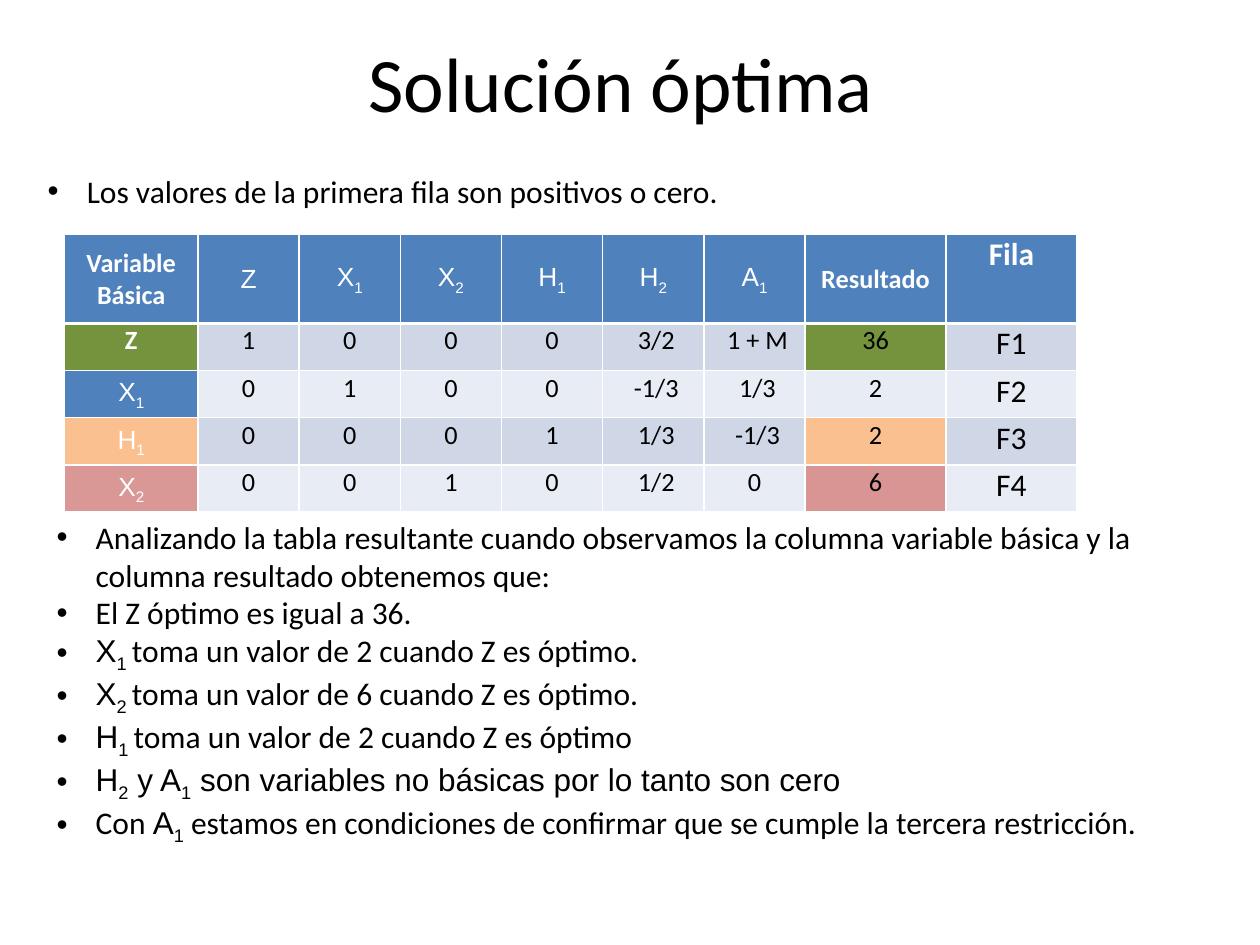
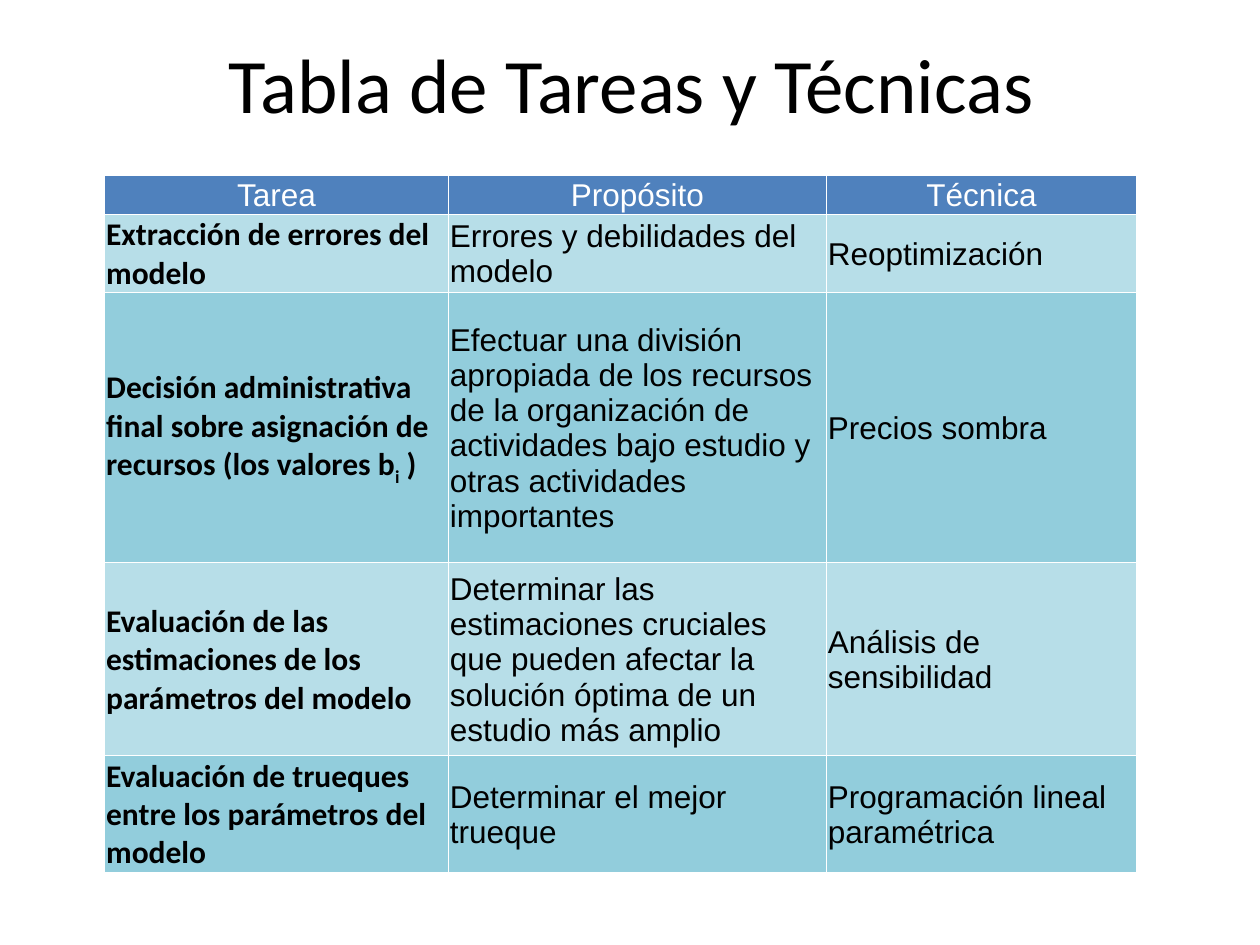
from lxml.etree import SubElement
from pptx import Presentation
from pptx.dml.color import RGBColor as Rgb
from pptx.enum.text import MSO_ANCHOR as Anchor, PP_ALIGN as Align
from pptx.oxml.ns import qn
from pptx.util import Cm, Pt

COLORS = {
    "white": "FFFFFF", "ink": "000000", "blue": "4F81BD", "green": "75923C",
    "orange": "FAC090", "rose": "D99795", "rose_result": "D99593",
    "band_dark": "CFD7E7", "band_light": "E8ECF4",
    "teal_light": "B7DEE8", "teal_dark": "92CDDC",
}
CALIBRI, ARIAL = "Calibri", "Arial"
CELL_MARGINS = {"margin_left": Cm(0.03), "margin_top": Cm(0.03),
                "margin_right": Cm(0.03), "margin_bottom": 0}
TEXT_MARGINS = {"margin_left": Cm(0.25), "margin_top": Cm(0.13),
                "margin_right": Cm(0.25), "margin_bottom": Cm(0.13)}

INTRO = [[("Los valores de la primera fila son positivos o cero.", CALIBRI)]]
FINDINGS = [
    [("Analizando la tabla resultante cuando observamos la columna variable "
      "básica y la columna resultado obtenemos que:", CALIBRI)],
    [("El Z óptimo es igual a 36.", CALIBRI)],
    [("X~1 ~", ARIAL), ("toma un valor de 2 cuando Z es óptimo.", CALIBRI)],
    [("X~2 ~", ARIAL), ("toma un valor de 6 cuando Z es óptimo.", CALIBRI)],
    [("H~1 ~", ARIAL), ("toma un valor de 2 cuando Z es óptimo", CALIBRI)],
    [("H~2~ y A~1~ son variables no básicas por lo tanto son cero", ARIAL)],
    [("Con ", CALIBRI), ("A~1~", ARIAL),
     (" estamos en condiciones de confirmar que se cumple la tercera "
      "restricción.", CALIBRI)],
]
SIMPLEX = [
    ["Variable Básica", "Z", "X~1~", "X~2~", "H~1~", "H~2~", "A~1~", "Resultado", "Fila"],
    ["Z", "1", "0", "0", "0", " 3/2", " 1 + M", "36", "F1"],
    ["X~1~", "0", "1", "0", "0", " -1/3", " 1/3", "2", "F2"],
    ["H~1~", "0", "0", "0", "1", " 1/3", " -1/3", "2", "F3"],
    ["X~2~", "0", "0", "1", "0", " 1/2", "0", "6", "F4"],
]
BASIC_FILLS = [None, "green", "blue", "orange", "rose"]
RESULT_FILLS = [None, "green", "band_light", "orange", "rose_result"]
TASKS = [
    ["Tarea", "Propósito", "Técnica"],
    ["Extracción de errores del modelo", "Errores y debilidades del modelo",
     "Reoptimización"],
    ["Decisión administrativa final sobre asignación de recursos (los valores b~i~ )",
     "Efectuar una división apropiada de los recursos de la organización de "
     "actividades bajo estudio y otras actividades importantes",
     "Precios sombra"],
    ["Evaluación de las estimaciones de los parámetros del modelo",
     "Determinar las estimaciones cruciales que pueden afectar la solución "
     "óptima de un estudio más amplio",
     "Análisis de sensibilidad"],
    ["Evaluación de trueques entre los parámetros del modelo",
     "Determinar el mejor trueque", "Programación lineal paramétrica"],
]


def rgb(color):
    """Return the named colour."""
    return Rgb.from_string(COLORS[color])


def apply_format(target, formats):
    """Set every attribute in formats on target."""
    for name, value in formats.items():
        setattr(target, name, value)


def write(paragraph, text, font=CALIBRI, size=18, color="ink", bold=False):
    """Add text to a paragraph; parts between tildes become subscripts."""
    for index, part in enumerate(text.split("~")):
        if not part:
            continue
        run = paragraph.add_run()
        run.text = part
        apply_format(run.font, {"name": font, "size": Pt(size), "bold": bold})
        run.font.color.rgb = rgb(color)
        if index % 2:
            run._r.get_or_add_rPr().set("baseline", "-25000")


def add_titled_slide(deck, title, box, margins):
    """Add a title-only slide with its centred title in the box."""
    slide = deck.slides.add_slide(deck.slide_layouts[5])
    heading = slide.shapes.title
    apply_format(heading, dict(zip(("left", "top", "width", "height"), map(Cm, box))))
    apply_format(heading.text_frame, {
        **margins, "vertical_anchor": Anchor.MIDDLE, "word_wrap": True})
    paragraph = heading.text_frame.paragraphs[0]
    paragraph.alignment = Align.CENTER
    write(paragraph, title, size=44)
    return slide


def add_bullets(slide, box, items):
    """Write a bulleted list inside the box."""
    frame = slide.shapes.add_textbox(*map(Cm, box)).text_frame
    apply_format(frame, {**TEXT_MARGINS, "word_wrap": True})
    for index, fragments in enumerate(items):
        paragraph = frame.add_paragraph() if index else frame.paragraphs[0]
        properties = paragraph._p.get_or_add_pPr()
        properties.set("marL", str(Cm(0.79)))
        properties.set("indent", str(-Cm(0.79)))
        bullet_color = SubElement(properties, qn("a:buClr"))
        SubElement(bullet_color, qn("a:srgbClr"), val=COLORS["ink"])
        SubElement(properties, qn("a:buFont"), typeface=ARIAL)
        SubElement(properties, qn("a:buChar"), char="•")
        for text, font in fragments:
            write(paragraph, text, font)


def draw_borders(cell, top=1, bottom=1):
    """Outline a cell in white with the given line widths in points."""
    properties = cell._tc.get_or_add_tcPr()
    for side, width in {"L": 1, "R": 1, "T": top, "B": bottom}.items():
        line = SubElement(properties, qn(f"a:ln{side}"), w=str(Pt(width)))
        fill = SubElement(line, qn("a:solidFill"))
        SubElement(fill, qn("a:srgbClr"), val=COLORS["white"])


def add_grid(slide, origin, widths, heights, rows, style_cell, header_line=1):
    """Add a table whose cells are styled by style_cell(row, column)."""
    box = (*origin, sum(widths), sum(heights))
    table = slide.shapes.add_table(len(rows), len(widths), *map(Cm, box)).table
    apply_format(table, {"first_row": False, "horz_banding": False})
    for column, width in zip(table.columns, widths):
        column.width = Cm(width)
    for line, height in zip(table.rows, heights):
        line.height = Cm(height)
    for row, texts in enumerate(rows):
        for column, text in enumerate(texts):
            fill, anchor, align, lettering = style_cell(row, column)
            cell = table.cell(row, column)
            apply_format(cell, {**CELL_MARGINS, "vertical_anchor": anchor})
            draw_borders(cell, header_line if row == 1 else 1,
                         header_line if row == 0 else 1)
            cell.fill.solid()
            cell.fill.fore_color.rgb = rgb(fill)
            paragraph = cell.text_frame.paragraphs[0]
            paragraph.alignment = align
            write(paragraph, text, **lettering)


def style_simplex(row, column):
    """Return fill, anchor, alignment and lettering for the simplex table."""
    header, basic, result, row_name = row == 0, column == 0, column == 7, column == 8
    variable = 1 <= column <= 6 if header else basic and row > 1
    fill = "band_dark" if row % 2 else "band_light"
    if header:
        fill = "blue"
    elif basic:
        fill = BASIC_FILLS[row]
    elif result:
        fill = RESULT_FILLS[row]
    middle = variable or header and not row_name
    lettering = {
        "font": ARIAL if variable else CALIBRI,
        "size": 18 if row_name else 15,
        "color": "white" if header or basic else "ink",
        "bold": (header or basic) and not variable,
    }
    return fill, Anchor.MIDDLE if middle else Anchor.TOP, Align.CENTER, lettering


def style_tasks(row, column):
    """Return fill, anchor, alignment and lettering for the task table."""
    if row == 0:
        return "blue", Anchor.MIDDLE, Align.CENTER, {"font": ARIAL, "color": "white"}
    task = column == 0
    fill = "teal_light" if row % 2 else "teal_dark"
    lettering = {"font": CALIBRI if task else ARIAL, "bold": task}
    return fill, Anchor.MIDDLE, Align.LEFT, lettering


def build_solution(deck):
    """Build the slide with the optimal simplex table."""
    slide = add_titled_slide(deck, "Solución óptima", (1.09, 0.05, 22.86, 3.18),
                             TEXT_MARGINS)
    add_bullets(slide, (0.71, 3.33, 22.86, 1.93), INTRO)
    add_bullets(slide, (0.89, 10.31, 22.86, 7.19), FINDINGS)
    add_grid(slide, (1.3, 4.72), [2.69] + [2.04] * 6 + [2.84, 2.64],
             [1.8] + [0.95] * 4, SIMPLEX, style_simplex, header_line=1.5)


def build_tasks(deck):
    """Build the slide with the table of tasks and techniques."""
    slide = add_titled_slide(deck, "Tabla de Tareas y Técnicas",
                             (1.3, 0.08, 22.86, 3.18),
                             dict.fromkeys(TEXT_MARGINS, Cm(0.25)))
    add_grid(slide, (2.11, 3.53), [6.93, 7.62, 6.25],
             [0.79, 1.57, 5.44, 3.89, 2.34], TASKS, style_tasks)


def main():
    """Build and save the deck."""
    deck = Presentation()
    apply_format(deck, {"slide_width": Cm(25.4), "slide_height": Cm(19.05)})
    build_solution(deck)
    build_tasks(deck)
    deck.save("out.pptx")


if __name__ == "__main__":
    main()
